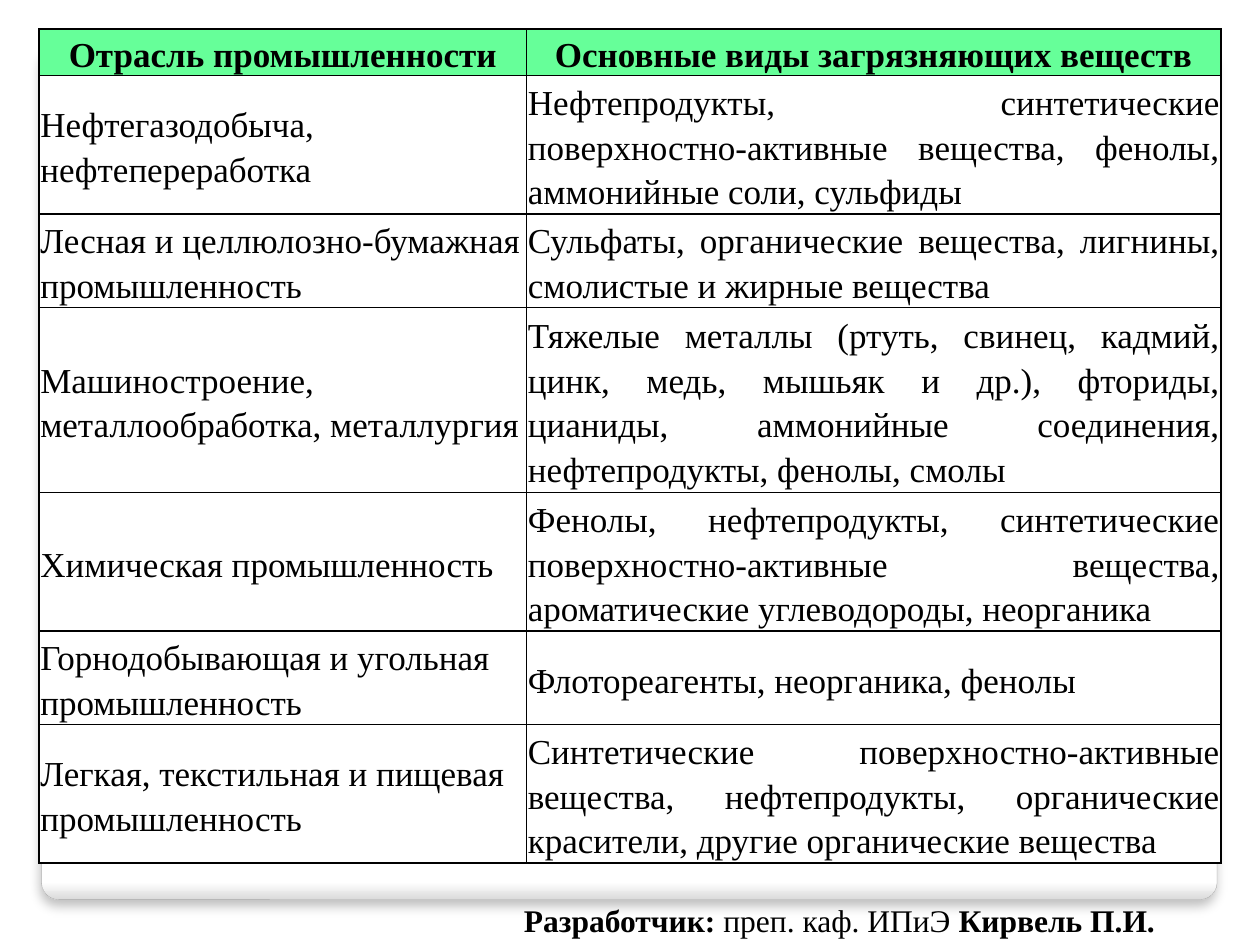
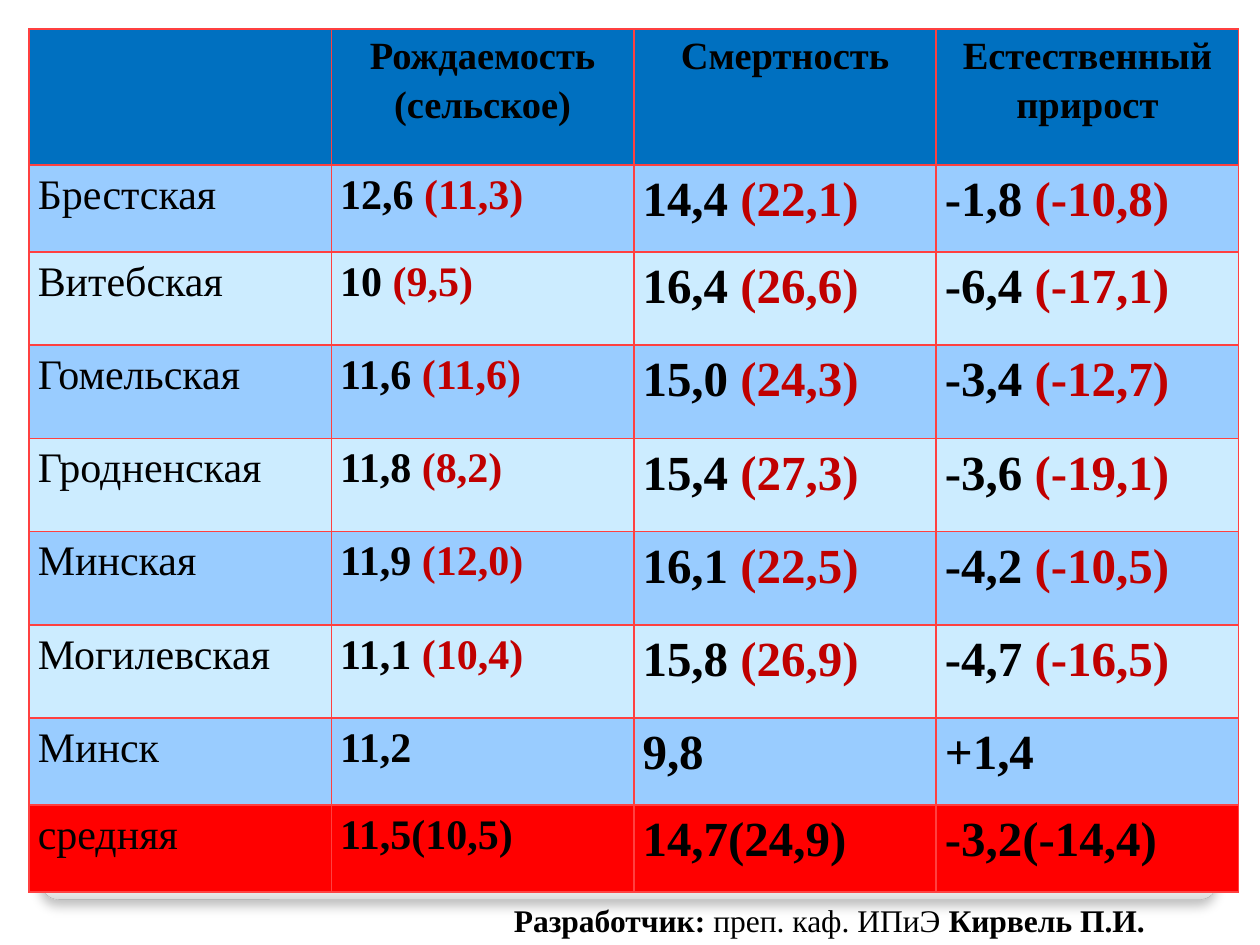
from lxml import etree
from pptx import Presentation
from pptx.dml.color import RGBColor
from pptx.enum.shapes import MSO_SHAPE
from pptx.enum.text import MSO_ANCHOR, PP_ALIGN
from pptx.oxml.ns import qn
from pptx.util import Inches, Pt

ROUNDED_RECTANGLE = MSO_SHAPE.ROUNDED_RECTANGLE
TOP, MIDDLE = MSO_ANCHOR.TOP, MSO_ANCHOR.MIDDLE
LEFT, CENTER, JUSTIFY = PP_ALIGN.LEFT, PP_ALIGN.CENTER, PP_ALIGN.JUSTIFY

FONT = "Times New Roman"
BLACK = RGBColor(0x00, 0x00, 0x00)
WHITE = RGBColor(0xFF, 0xFF, 0xFF)
PANEL_EDGE = RGBColor(0xDA, 0xDA, 0xDA)
PANEL_LINE = RGBColor(0xA4, 0xA4, 0xA4)
GREEN = RGBColor(0x66, 0xFF, 0x99)
HEADER_BLUE = RGBColor(0x00, 0x70, 0xC0)
ROW_BLUE = RGBColor(0x99, 0xCC, 0xFF)
PALE_BLUE = RGBColor(0xCC, 0xEC, 0xFF)
RED = RGBColor(0xFF, 0x00, 0x00)
DARK_RED = RGBColor(0xC0, 0x00, 0x00)
BORDER_RED = RGBColor(0xFF, 0x40, 0x40)

POLLUTANTS_HEADER = ("Отрасль промышленности", "Основные виды загрязняющих веществ")
POLLUTANTS = [
    ("Нефтегазодобыча, нефтепереработка",
     "Нефтепродукты, синтетические поверхностно-активные вещества, фенолы, "
     "аммонийные соли, сульфиды"),
    ("Лесная и целлюлозно-бумажная промышленность",
     "Сульфаты, органические вещества, лигнины, смолистые и жирные вещества"),
    ("Машиностроение, металлообработка, металлургия",
     "Тяжелые металлы (ртуть, свинец, кадмий, цинк, медь, мышьяк и др.), фториды, "
     "цианиды, аммонийные соединения, нефтепродукты, фенолы, смолы"),
    ("Химическая промышленность",
     "Фенолы, нефтепродукты, синтетические поверхностно-активные вещества, "
     "ароматические углеводороды, неорганика"),
    ("Горнодобывающая и угольная промышленность",
     "Флотореагенты, неорганика, фенолы"),
    ("Легкая, текстильная и пищевая промышленность",
     "Синтетические поверхностно-активные вещества, нефтепродукты, органические "
     "красители, другие органические вещества"),
]
POLLUTANT_ROW_HEIGHTS = [0.37, 1.1, 0.74, 1.47, 1.1, 0.74, 1.1]

POPULATION_HEADER = ("", "Рождаемость\n(сельское)", "Смертность", "Естественный прирост")
POPULATION = [
    ("Брестская", "12,6 (11,3)", "14,4 (22,1)", "-1,8 (-10,8)"),
    ("Витебская", "10 (9,5)", "16,4 (26,6)", "-6,4 (-17,1)"),
    ("Гомельская", "11,6 (11,6)", "15,0 (24,3)", "-3,4 (-12,7)"),
    ("Гродненская", "11,8 (8,2)", "15,4 (27,3)", "-3,6 (-19,1)"),
    ("Минская", "11,9 (12,0)", "16,1 (22,5)", "-4,2 (-10,5)"),
    ("Могилевская", "11,1 (10,4)", "15,8 (26,9)", "-4,7 (-16,5)"),
    ("Минск", "11,2", "9,8", "+1,4"),
    ("средняя", "11,5(10,5)", "14,7(24,9)", "-3,2(-14,4)"),
]
POPULATION_ROW_HEIGHTS = [1.08, 0.69] + [0.74] * 5 + [0.69] * 2
POPULATION_SIZES = (24, 24, 28, 28)


def format_font(font, size, bold=False, color=BLACK):
    font.name = FONT
    font.size = Pt(size)
    font.bold = bold
    font.color.rgb = color


def add_run(paragraph, text, size, bold=False, color=BLACK):
    run = paragraph.add_run()
    run.text = text
    format_font(run.font, size, bold, color)


def add_panel(slide):
    """Draw the rounded white panel with a soft shadow behind the table."""
    panel = slide.shapes.add_shape(
        ROUNDED_RECTANGLE, Inches(0.33), Inches(0.36), Inches(9.33), Inches(6.78))
    panel.adjustments[0] = 0.02
    panel.fill.gradient()
    panel.fill.gradient_angle = 270
    stops = panel.fill.gradient_stops
    for stop, position, color in zip(stops, (0.98, 1), (WHITE, PANEL_EDGE)):
        stop.position = position
        stop.color.rgb = color
    panel.line.color.rgb = PANEL_LINE
    panel.line.width = Pt(0.16)
    panel.shadow.inherit = False
    effects = panel.element.spPr.find(qn("a:effectLst"))
    shadow = etree.SubElement(
        effects, qn("a:outerShdw"), blurRad=str(Pt(6)), dist=str(Pt(4)),
        dir="5400000", algn="t", rotWithShape="0")
    color = etree.SubElement(shadow, qn("a:srgbClr"), val=str(BLACK))
    etree.SubElement(color, qn("a:alpha"), val="25000")


def add_footer(slide, left):
    footer = slide.shapes.add_textbox(
        Inches(left), Inches(7.1), Inches(5.55), Inches(0.4))
    footer.text_frame.word_wrap = True
    paragraph = footer.text_frame.paragraphs[0]
    add_run(paragraph, "Разработчик: ", 18, bold=True)
    add_run(paragraph, "преп. каф. ИПиЭ ", 18)
    add_run(paragraph, "Кирвель П.И.", 18, bold=True)


def add_plain_table(slide, left, top, column_widths, row_heights):
    frame = slide.shapes.add_table(
        len(row_heights), len(column_widths), Inches(left), Inches(top),
        Inches(sum(column_widths)), Inches(sum(row_heights)))
    table = frame.table
    table.first_row = table.horz_banding = False
    for column, width in zip(table.columns, column_widths):
        column.width = Inches(width)
    for row, height in zip(table.rows, row_heights):
        row.height = Inches(height)
    return table


def style_cell(cell, fill, border, margins, anchor):
    """Set borders, fill, anchor and the left, top, right and bottom margins."""
    properties = cell._tc.get_or_add_tcPr()
    for side in ("a:lnL", "a:lnR", "a:lnT", "a:lnB"):
        line = etree.SubElement(properties, qn(side), w=str(Pt(1)))
        line_fill = etree.SubElement(line, qn("a:solidFill"))
        etree.SubElement(line_fill, qn("a:srgbClr"), val=str(border))
    cell.fill.solid()
    cell.fill.fore_color.rgb = fill
    cell.vertical_anchor = anchor
    (cell.margin_left, cell.margin_top,
     cell.margin_right, cell.margin_bottom) = map(Inches, margins)


def write_cell(cell, text, size, alignment, bold=False):
    cell.text_frame.text = text
    for paragraph in cell.text_frame.paragraphs:
        paragraph.alignment = alignment
        paragraph.line_spacing = 1.15
        for run in paragraph.runs:
            format_font(run.font, size, bold)


def write_rate(cell, text, size):
    """Write the overall rate in black and the rural rate in dark red."""
    overall, gap, rural = text.partition(" (")
    write_cell(cell, overall + gap[:1], size, JUSTIFY, bold=True)
    if rural:
        add_run(cell.text_frame.paragraphs[0], "(" + rural, size, True, DARK_RED)


def add_pollutants_table(slide):
    table = add_plain_table(slide, 0.31, 0.23, [3.87, 5.51], POLLUTANT_ROW_HEIGHTS)
    for row_index, texts in enumerate([POLLUTANTS_HEADER] + POLLUTANTS):
        is_header = row_index == 0
        alignments = (CENTER, CENTER) if is_header else (LEFT, JUSTIFY)
        for column_index, text in enumerate(texts):
            cell = table.cell(row_index, column_index)
            style_cell(cell, GREEN if is_header else WHITE, BLACK,
                       (0.01, 0.01, 0.01, 0), MIDDLE)
            write_cell(cell, text, 20, alignments[column_index], bold=is_header)


def add_population_table(slide):
    table = add_plain_table(slide, 0.23, 0.23, [2.4] * 4, POPULATION_ROW_HEIGHTS)
    region_fills = [(ROW_BLUE, PALE_BLUE)[index % 2] for index in range(len(POPULATION) - 1)]
    fills = [HEADER_BLUE] + region_fills + [RED]
    for row_index, texts in enumerate([POPULATION_HEADER] + POPULATION):
        for column_index, text in enumerate(texts):
            cell = table.cell(row_index, column_index)
            style_cell(cell, fills[row_index], BORDER_RED, (0.07, 0, 0.07, 0), TOP)
            size = POPULATION_SIZES[column_index]
            if row_index == 0:
                write_cell(cell, text, 22, CENTER, bold=True)
            elif column_index == 0:
                write_cell(cell, text, size, JUSTIFY)
            else:
                write_rate(cell, text, size)


def main():
    presentation = Presentation()
    presentation.slide_width = Inches(10)
    presentation.slide_height = Inches(7.5)
    blank_layout = presentation.slide_layouts[6]
    for add_content, footer_left in ((add_pollutants_table, 4.06),
                                     (add_population_table, 3.98)):
        slide = presentation.slides.add_slide(blank_layout)
        add_panel(slide)
        add_content(slide)
        add_footer(slide, footer_left)
    presentation.save("out.pptx")


if __name__ == "__main__":
    main()
